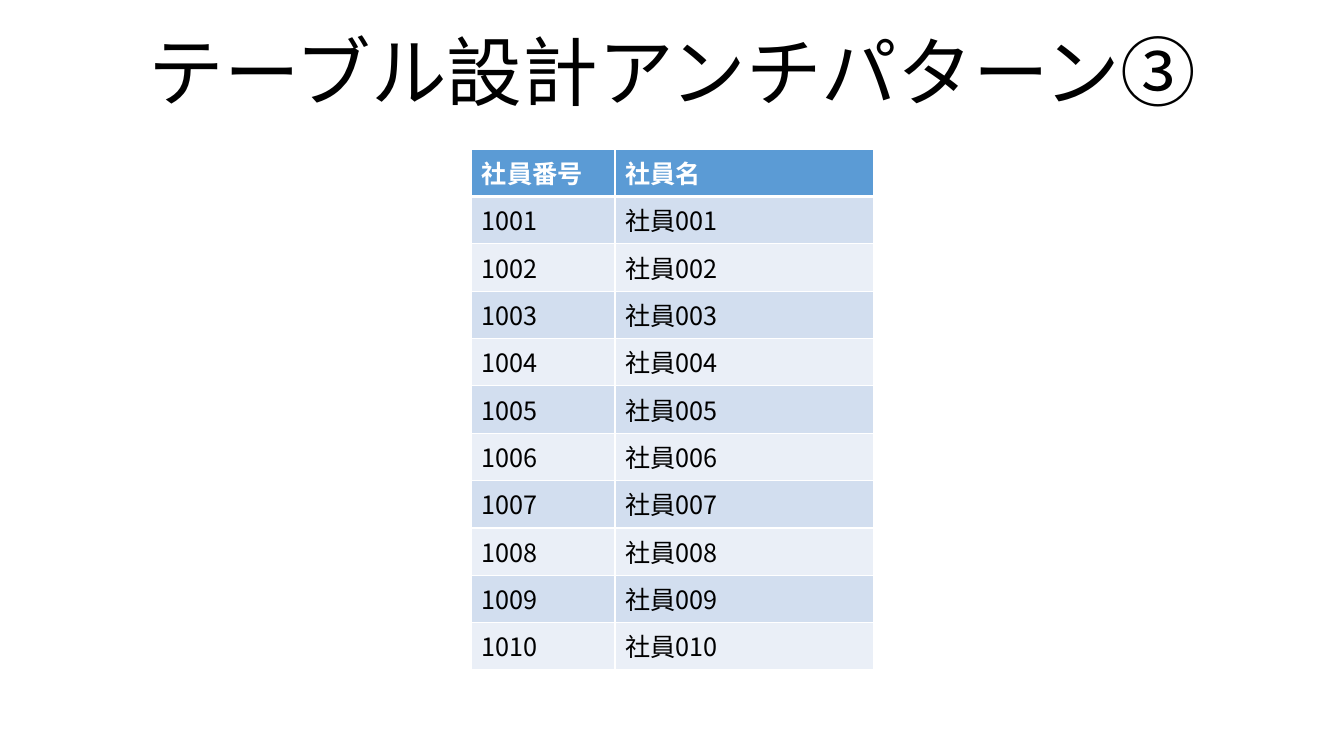
from lxml.etree import SubElement
from pptx import Presentation
from pptx.dml.color import RGBColor
from pptx.enum.text import MSO_ANCHOR, MSO_AUTO_SIZE, PP_ALIGN
from pptx.oxml.ns import qn
from pptx.util import Inches, Pt


def color(value):
    return RGBColor.from_string(value)


class SlideBuilder:
    font = "Noto Sans CJK JP"
    black, white, header_blue = "000000", "FFFFFF", "5B9BD5"
    bands = ("D2DEEF", "EAEFF7")

    def __init__(self, deck):
        self.page = deck.slides.add_slide(deck.slide_layouts[5])

    def add_text(self, frame, text, size, ink, bold=False, **paragraph_format):
        para = frame.paragraphs[0]
        for name, value in paragraph_format.items():
            setattr(para, name, value)
        span = para.add_run()
        span.text = text
        for name, value in {"name": self.font, "size": Pt(size), "bold": bold}.items():
            setattr(span.font, name, value)
        span.font.color.rgb = color(ink)
        east_asian = SubElement(span.font._element, qn("a:ea"))
        east_asian.set("typeface", self.font)

    def title(self, text, left, top, width, height):
        box = self.page.shapes.title
        place = {"left": left, "top": top, "width": width, "height": height}
        for name, value in place.items():
            setattr(box, name, Inches(value))
        frame = box.text_frame
        settings = {
            "word_wrap": True,
            "auto_size": MSO_AUTO_SIZE.NONE,
            "vertical_anchor": MSO_ANCHOR.MIDDLE,
        }
        for name, value in settings.items():
            setattr(frame, name, value)
        self.add_text(frame, text, 54, self.black,
                      alignment=PP_ALIGN.CENTER, line_spacing=0.9)

    def borders(self, cell, **widths):
        properties = cell._tc.get_or_add_tcPr()
        for side in ("L", "R", "T", "B"):
            line = SubElement(properties, qn(f"a:ln{side}"), w=str(Pt(widths.get(side, 1))))
            fill = SubElement(line, qn("a:solidFill"))
            SubElement(fill, qn("a:srgbClr"), val=self.white)

    def table(self, rows, left, top, column_widths, row_height):
        table = self.page.shapes.add_table(
            len(rows), len(column_widths), Inches(left), Inches(top),
            Inches(sum(column_widths)), Inches(row_height * len(rows))).table
        for column, width in zip(table.columns, column_widths):
            column.width = Inches(width)
        for index, values in enumerate(rows):
            table.rows[index].height = Inches(row_height)
            header = index == 0
            background = self.header_blue if header else self.bands[(index - 1) % 2]
            for cell, text in zip(table.rows[index].cells, values):
                self.borders(cell, T=3 if index == 1 else 1, B=3 if header else 1)
                cell.fill.solid()
                cell.fill.fore_color.rgb = color(background)
                self.add_text(cell.text_frame, text, 18,
                              self.white if header else self.black, bold=header)


deck = Presentation()
deck.slide_width, deck.slide_height = Inches(13.33), Inches(7.5)
slide = SlideBuilder(deck)
slide.title("テーブル設計アンチパターン③", 0.92, 0.03, 11.5, 1.45)
employees = [(str(1000 + number), f"社員{number:03}") for number in range(1, 11)]
slide.table([("社員番号", "社員名")] + employees, 4.68, 1.48, (1.42, 2.56), 0.47)
deck.save("out.pptx")
